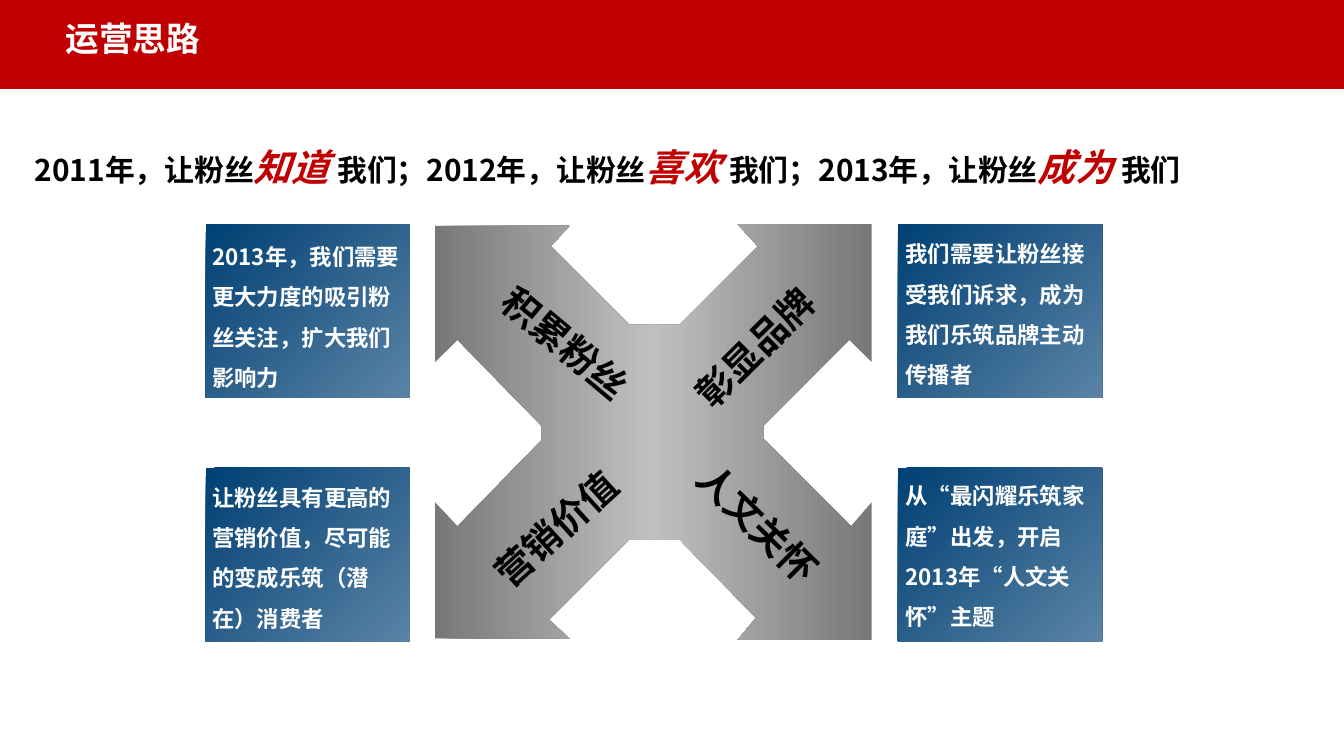
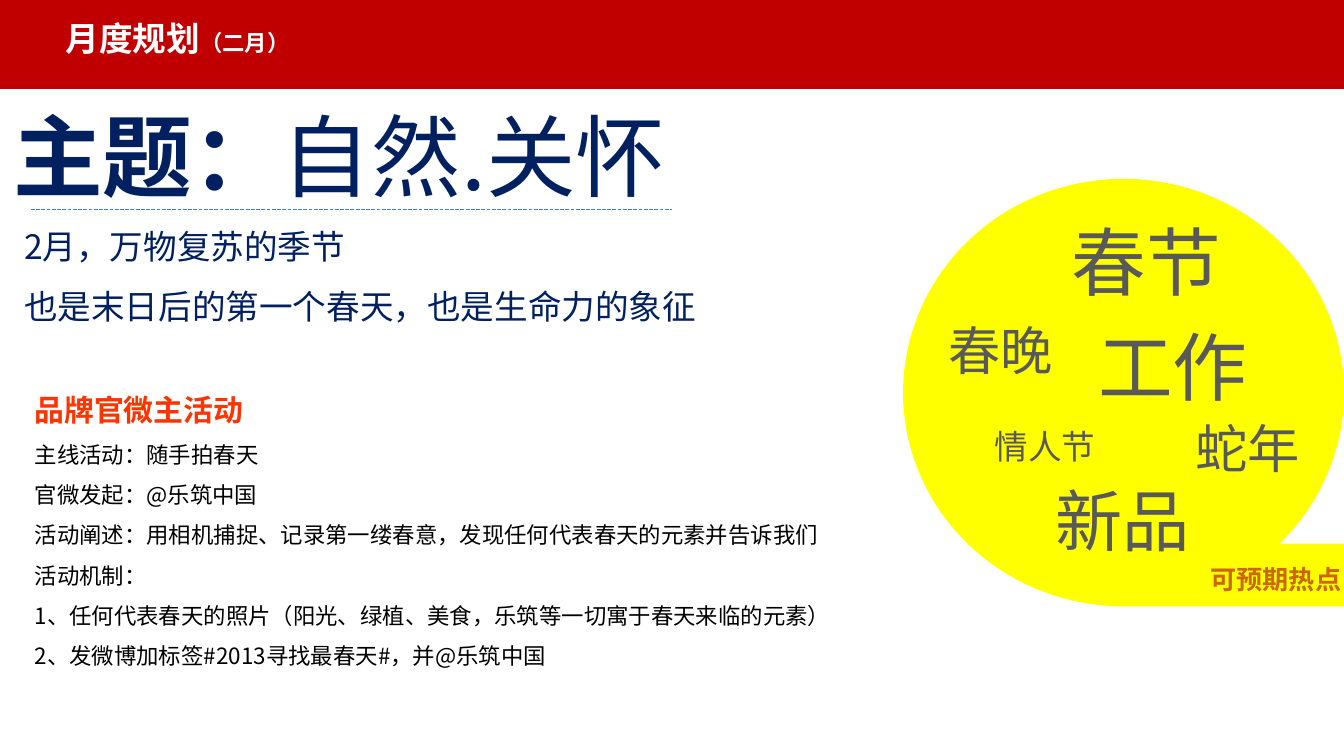
from copy import deepcopy
from dataclasses import dataclass, replace

from lxml.etree import SubElement
from pptx import Presentation
from pptx.dml.color import RGBColor
from pptx.enum.dml import MSO_LINE as Dash
from pptx.enum.shapes import MSO_CONNECTOR as Connector, MSO_SHAPE as Shape
from pptx.enum.text import MSO_AUTO_SIZE as AutoSize, PP_ALIGN as Align
from pptx.oxml.ns import qn
from pptx.util import Pt


@dataclass(frozen=True)
class Style:
    size: float
    color: str
    bold: bool = False
    italic: bool = False


@dataclass(frozen=True)
class Theme:
    font: str = "Noto Sans CJK SC"
    red: str = "C00000"
    yellow: str = "FFFF00"
    rule: str = "4B7EBC"
    gray: str = "595959"
    card_stops: tuple = ((0, "004074"), (1, "5A83A5"))
    arrow_stops: tuple = ((0, "787878"), (0.5, "C0C0C0"), (1, "787878"))
    title: Style = Style(18, "FFFFFF", True)
    title_note: Style = Style(12, "FFFFFF", True)
    card: Style = Style(12, "FFFFFF", True)
    arrow: Style = Style(20, "000000", True)
    goal: Style = Style(16, "000000", True)
    goal_key: Style = Style(20, "C00000", True, True)
    topic: Style = Style(48, "002060")
    season: Style = Style(18, "002060")
    heading: Style = Style(16, "FF3300", True)
    body: Style = Style(12, "000000")
    hotspot: Style = Style(14, "CC6600", True)


THEME = Theme()

CARD_WIDTH, CARD_HEIGHT = 109.4, 92.9
CARDS = [
    (110.2, 120.2, (106.6, 119.5, 118.1, 94.3),
     "2013年，我们需要更大力度的吸引粉丝关注，扩大我们影响力"),
    (110.2, 250.6, (106.6, 248.4, 112.3, 94.3),
     "让粉丝具有更高的营销价值，尽可能的变成乐筑（潜在）消费者"),
    (481, 120.2, (478.1, 118.1, 112.3, 94.3),
     "我们需要让粉丝接受我们诉求，成为我们乐筑品牌主动传播者"),
    (481, 250.6, (478.1, 247.7, 112.3, 94.3),
     "从“最闪耀乐筑家庭”出发，开启2013年“人文关怀”主题"),
]
CROSS_ARROW = [
    (305.3, 121), (233.3, 121), (233.3, 194.4), (244.8, 182.2),
    (290.2, 227.5), (290.2, 236.2), (244.8, 281.5), (233.3, 269.3),
    (233.3, 342), (304.6, 342), (294.5, 331.9), (337, 289.4),
    (363.6, 289.4), (405.4, 331.2), (394.6, 342.7), (467.3, 342.7),
    (467.3, 269.3), (455.8, 281.5), (409, 234.7), (409, 227.5),
    (455, 182.2), (466.6, 193.7), (466.6, 120.2), (395.3, 120.2),
    (406.1, 131.8), (363.6, 174.2), (337, 174.2), (295.2, 131.8),
]
ARROW_LABELS = [
    ("积累粉丝", 254.9, 170.6, 39.8),
    ("营销价值", 249.8, 265, 317.8),
    ("彰显品牌", 356.4, 167.8, 315.2),
    ("人文关怀", 357.8, 267.1, 44.7),
]
HOT_WORDS = [
    ("春节", 40, 545.8, 112.3, 115.2),
    ("春晚", 28, 438.5, 167, 132.5),
    ("工作", 40, 542.9, 168.5, 132.5),
    ("蛇年", 28, 571, 219.6, 132.5),
    ("情人节", 18, 461.5, 224.6, 132.5),
    ("新品", 36, 511.9, 253.4, 132.5),
]
ACTIVITY = [
    "主线活动：随手拍春天",
    "官微发起：@乐筑中国",
    "活动阐述：用相机捕捉、记录第一缕春意，发现任何代表春天的元素并告诉我们",
    "活动机制：",
    "1、任何代表春天的照片（阳光、绿植、美食，乐筑等一切寓于春天来临的元素）",
    "2、发微博加标签#2013寻找最春天#，并@乐筑中国",
]


def points(values):
    return [Pt(value) for value in values]


def format_run(span, style):
    font = span.font
    font.name = THEME.font
    font.size = Pt(style.size)
    font.bold = style.bold
    font.italic = style.italic
    font.color.rgb = RGBColor.from_string(style.color)
    SubElement(font._element, qn("a:ea")).set("typeface", THEME.font)


def add_text(page, place, paragraphs, align=Align.LEFT, spacing=None, rotation=0):
    box = page.shapes.add_textbox(*points(place))
    box.rotation = rotation
    frame = box.text_frame
    frame.word_wrap = True
    frame.auto_size = AutoSize.SHAPE_TO_FIT_TEXT
    for index, spans in enumerate(paragraphs):
        para = frame.add_paragraph() if index else frame.paragraphs[0]
        para.alignment = align
        if spacing:
            para.line_spacing = spacing
        for text, style in spans:
            span = para.add_run()
            span.text = text
            format_run(span, style)


def paint_solid(shape, color):
    shape.shadow.inherit = False
    shape.fill.solid()
    shape.fill.fore_color.rgb = RGBColor.from_string(color)
    shape.line.fill.background()


def paint_gradient(shape, stops, angle):
    shape.shadow.inherit = False
    shape.line.fill.background()
    shape.fill.gradient()
    shape.fill.gradient_angle = angle
    stop_list = shape._element.spPr.find(qn("a:gradFill")).find(qn("a:gsLst"))
    for _ in range(len(stops) - len(stop_list)):
        stop_list.append(deepcopy(stop_list[0]))
    for stop, (position, color) in zip(shape.fill.gradient_stops, stops):
        stop.position = position
        stop.color.rgb = RGBColor.from_string(color)


def add_page(deck, title):
    page = deck.slides.add_slide(deck.slide_layouts[6])
    band = page.shapes.add_shape(Shape.RECTANGLE, *points((0, -1.4, 720, 49)))
    paint_solid(band, THEME.red)
    add_text(page, (28.1, 5.8, 163.4, 28.8), [title])
    return page


def add_card(page, left, top, text_place, text):
    card = page.shapes.add_shape(
        Shape.RECTANGLE, *points((left, top, CARD_WIDTH, CARD_HEIGHT)))
    paint_gradient(card, THEME.card_stops, 315)
    add_text(page, text_place, [[(text, THEME.card)]], spacing=1.5)


def add_cross_arrow(page):
    builder = page.shapes.build_freeform(*CROSS_ARROW[0], scale=Pt(1))
    builder.add_line_segments(CROSS_ARROW[1:], close=True)
    paint_gradient(builder.convert_to_shape(), THEME.arrow_stops, 0)


def add_dashed_rule(page, left, right, top):
    rule = page.shapes.add_connector(
        Connector.STRAIGHT, *points((left, top, right, top)))
    rule.line.color.rgb = RGBColor.from_string(THEME.rule)
    rule.line.width = Pt(0.25)
    rule.line.dash_style = Dash.LONG_DASH
    SubElement(rule._element.spPr, qn("a:effectLst"))


def build_approach(deck):
    page = add_page(deck, [("运营思路", THEME.title)])
    for card in CARDS:
        add_card(page, *card)
    add_cross_arrow(page)
    for text, left, top, rotation in ARROW_LABELS:
        add_text(page, (left, top, 101.5, 31.7), [[(text, THEME.arrow)]],
                 rotation=rotation)
    goals = [
        ("2011年，让粉丝", THEME.goal), ("知道 ", THEME.goal_key),
        ("我们；2012年，让粉丝", THEME.goal), ("喜欢 ", THEME.goal_key),
        ("我们；2013年，让粉丝", THEME.goal), ("成为 ", THEME.goal_key),
        ("我们", THEME.goal),
    ]
    add_text(page, (11.5, 61.9, 646.6, 39.6), [goals], spacing=1.5)


def build_month(deck):
    page = add_page(deck, [("月度规划", THEME.title), ("（二月）", THEME.title_note)])
    topic = [("主题：", replace(THEME.topic, bold=True)), ("自然.关怀", THEME.topic)]
    add_text(page, (0, 50.4, 408.2, 65.5), [topic])
    bubble = page.shapes.add_shape(
        Shape.FLOWCHART_SEQUENTIAL_ACCESS_STORAGE, *points((483.8, 95.8, 236.2, 229)))
    paint_solid(bubble, THEME.yellow)
    add_text(page, (593.3, 298.1, 132.5, 24.5), [[("可预期热点", THEME.hotspot)]],
             Align.RIGHT)
    for text, size, left, top, width in HOT_WORDS:
        add_text(page, (left, top, width, size * 1.4),
                 [[(text, Style(size, THEME.gray))]], Align.RIGHT)
    season = ["2月，万物复苏的季节", "也是末日后的第一个春天，也是生命力的象征"]
    add_text(page, (5.8, 106.6, 382.3, 72.7),
             [[(text, THEME.season)] for text in season], spacing=1.5)
    add_dashed_rule(page, 16.6, 360, 112.3)
    activity = [[("品牌官微主活动", THEME.heading)]]
    activity += [[(text, THEME.body)] for text in ACTIVITY]
    add_text(page, (11.5, 196.6, 607.7, 167), activity, spacing=1.5)


def main():
    deck = Presentation()
    deck.slide_width, deck.slide_height = Pt(720), Pt(405)
    build_approach(deck)
    build_month(deck)
    deck.save("out.pptx")


if __name__ == "__main__":
    main()
